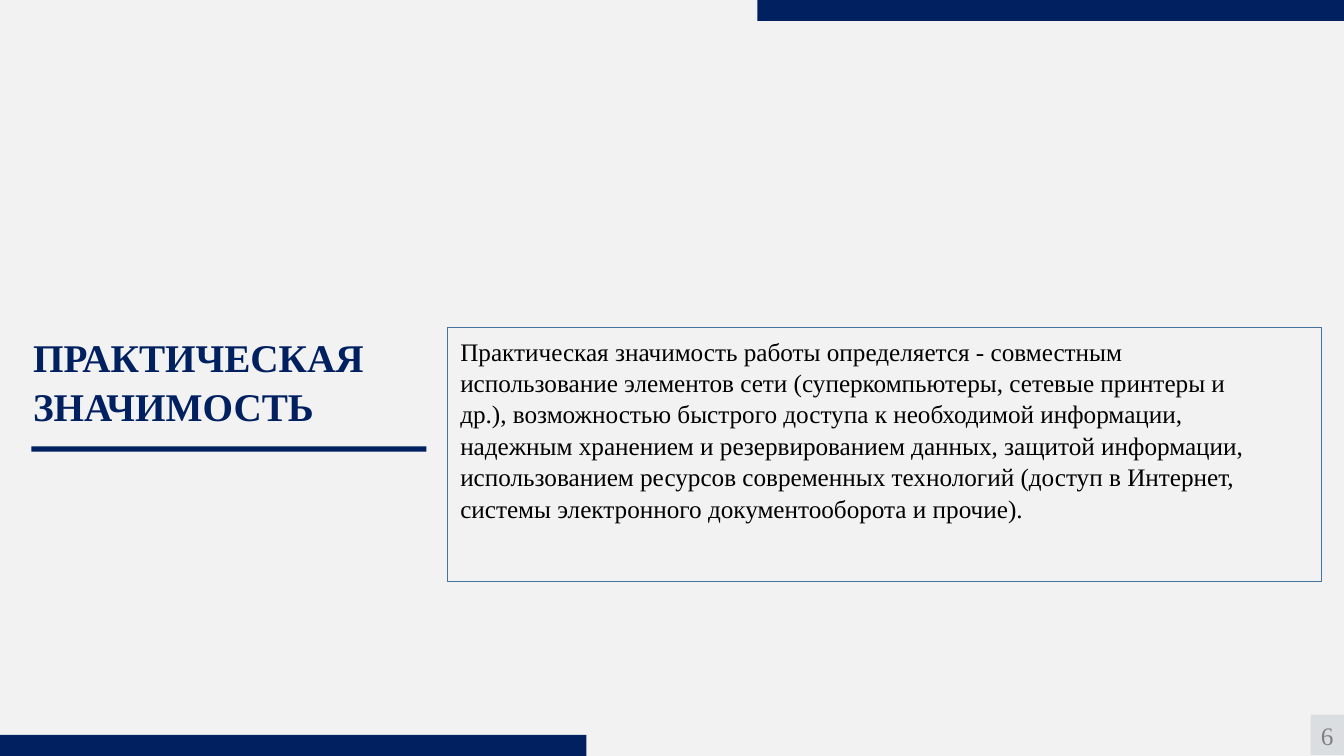
import dataclasses

import pptx
import pptx.dml.color
import pptx.enum.shapes
import pptx.enum.text
import pptx.util

Cm = pptx.util.Cm
Pt = pptx.util.Pt
TextAnchor = pptx.enum.text.MSO_ANCHOR
Align = pptx.enum.text.PP_ALIGN


@dataclasses.dataclass(frozen=True)
class Theme:
    font: str = "Times New Roman"
    background: str = "F2F2F2"
    navy: str = "002060"
    frame: str = "43739E"
    badge: str = "DBDEE1"
    muted: str = "808080"
    black: str = "000000"
    title_size: int = 28
    body_size: int = 18


THEME = Theme()
SLIDE_WIDTH, SLIDE_HEIGHT = Cm(33.87), Cm(19.05)

HEADING = "ПРАКТИЧЕСКАЯ ЗНАЧИМОСТЬ"
SIGNIFICANCE = (
    "Практическая значимость работы определяется - совместным",
    "использование элементов сети (суперкомпьютеры, сетевые принтеры и др.), "
    "возможностью быстрого доступа к необходимой информации, надежным "
    "хранением и резервированием данных, защитой информации, использованием "
    "ресурсов современных технологий (доступ в Интернет, системы "
    "электронного документооборота и прочие).",
)


def rgb(code):
    return pptx.dml.color.RGBColor.from_string(code)


def add_rect(slide, left, top, width, height, fill=None, line=None):
    rect = slide.shapes.add_shape(
        pptx.enum.shapes.MSO_SHAPE.RECTANGLE, left, top, width, height)
    rect.shadow.inherit = False
    if fill:
        rect.fill.solid()
        rect.fill.fore_color.rgb = rgb(fill)
    else:
        rect.fill.background()
    if line:
        rect.line.color.rgb = rgb(line)
        rect.line.width = Pt(1)
    else:
        rect.line.fill.background()
    return rect


def write(shape, lines, size, color, bold=False, wrap=True,
          anchor=TextAnchor.TOP, align=Align.LEFT, spacing=1.0):
    frame = shape.text_frame
    frame.text = "\n".join(lines)
    frame.word_wrap = wrap
    frame.auto_size = pptx.enum.text.MSO_AUTO_SIZE.NONE
    frame.vertical_anchor = anchor
    for paragraph in frame.paragraphs:
        paragraph.alignment = align
        paragraph.line_spacing = spacing
        for run in paragraph.runs:
            run.font.name = THEME.font
            run.font.size = Pt(size)
            run.font.bold = bold
            run.font.color.rgb = rgb(color)


def add_bands(slide):
    width, height = Cm(14.78), Cm(0.53)
    add_rect(slide, SLIDE_WIDTH - width, 0, width, height, THEME.navy)
    add_rect(slide, 0, SLIDE_HEIGHT - height, width, height, THEME.navy)


def add_page_number(slide, number):
    badge = add_rect(slide, Cm(33.03), Cm(18.01), Cm(0.84), Cm(1.02), THEME.badge)
    write(badge, [number], THEME.body_size, THEME.muted, wrap=False,
          anchor=TextAnchor.MIDDLE, align=Align.CENTER)


def add_heading(slide):
    title = slide.shapes.title
    title.left, title.top = Cm(0.58), Cm(8.23)
    title.width, title.height = Cm(10.39), Cm(2.51)
    write(title, [HEADING], THEME.title_size, THEME.navy, bold=True, spacing=1.04)
    # Rule under the heading
    add_rect(slide, Cm(0.79), Cm(11.25), Cm(9.96), Cm(0.13), THEME.navy)


def add_significance(slide):
    add_rect(slide, Cm(11.28), Cm(8.26), Cm(22.02), Cm(6.4), line=THEME.frame)
    significance = slide.shapes.add_textbox(Cm(11.35), Cm(8.31), Cm(21.08), Cm(4.62))
    write(significance, SIGNIFICANCE, THEME.body_size, THEME.black, spacing=1.04)


def main():
    deck = pptx.Presentation()
    deck.slide_width, deck.slide_height = SLIDE_WIDTH, SLIDE_HEIGHT
    slide = deck.slides.add_slide(deck.slide_layouts[5])
    slide.background.fill.solid()
    slide.background.fill.fore_color.rgb = rgb(THEME.background)

    add_bands(slide)
    add_page_number(slide, "6")
    add_heading(slide)
    add_significance(slide)
    deck.save("out.pptx")


if __name__ == "__main__":
    main()
